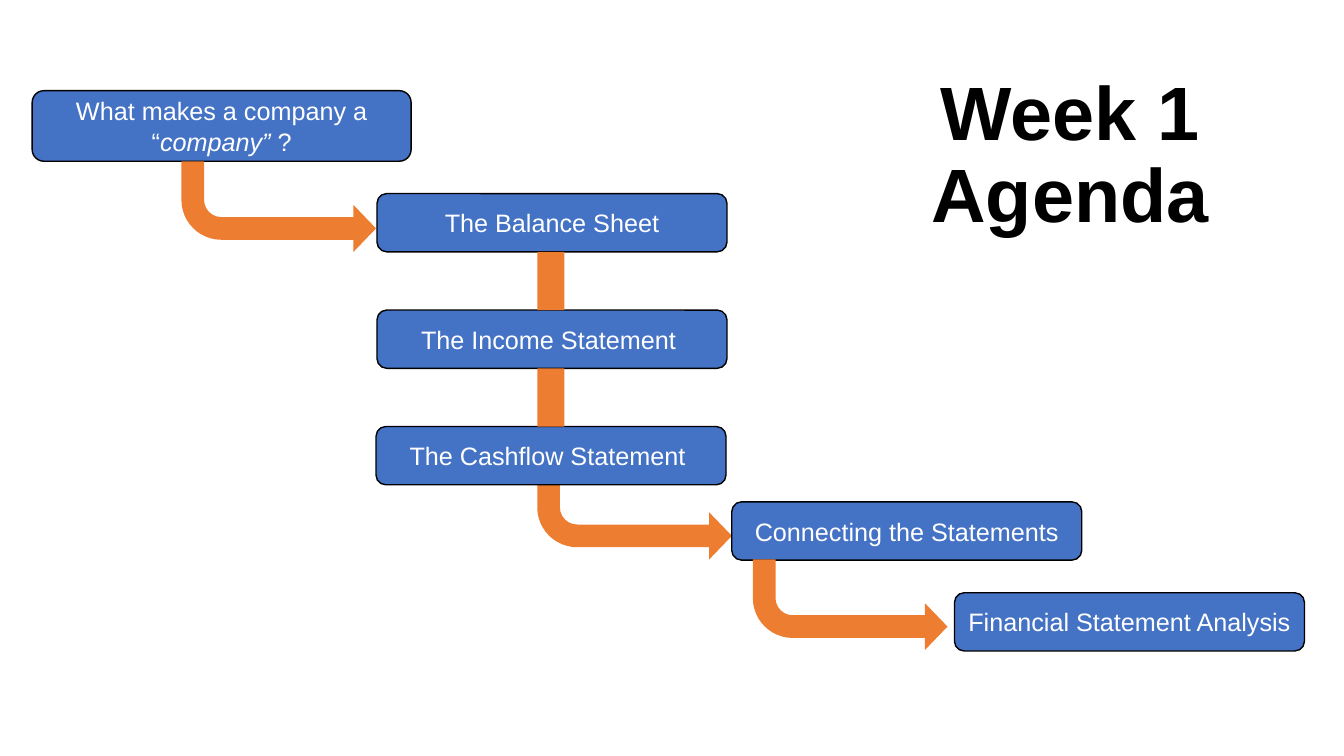
"""Build the Week 1 agenda slide: a staircase of topics joined by arrows."""
from dataclasses import dataclass

from pptx import Presentation
from pptx.dml.color import RGBColor
from pptx.enum.shapes import MSO_SHAPE
from pptx.enum.text import MSO_ANCHOR, PP_ALIGN
from pptx.shapes.autoshape import Shape
from pptx.slide import Slide
from pptx.text.text import Font
from pptx.util import Pt

ROUNDED = MSO_SHAPE.ROUNDED_RECTANGLE
RECTANGLE = MSO_SHAPE.RECTANGLE
BENT_ARROW = MSO_SHAPE.BENT_ARROW
CENTER = PP_ALIGN.CENTER
MIDDLE = MSO_ANCHOR.MIDDLE
BOTTOM = MSO_ANCHOR.BOTTOM


@dataclass(frozen=True)
class Theme:
    """Colours and type sizes of the slide."""
    topic: RGBColor = RGBColor(0x44, 0x72, 0xC4)
    flow: RGBColor = RGBColor(0xED, 0x7D, 0x31)
    ink: RGBColor = RGBColor(0, 0, 0)
    paper: RGBColor = RGBColor(0xFF, 0xFF, 0xFF)
    font: str = "Arial"
    title_size: float = 54
    topic_size: float = 18


@dataclass(frozen=True)
class Topic:
    """An agenda box; every second piece of its wording is italic."""
    wording: tuple[str, ...]
    left: float
    top: float
    width: float = 250
    height: float = 41.6


@dataclass(frozen=True)
class Turn:
    """A bent arrow leading down and right to the next topic."""
    left: float
    top: float
    width: float = 139
    height: float = 64.8


@dataclass(frozen=True)
class Link:
    """A bar between two stacked statements."""
    left: float
    top: float
    width: float = 19.4
    height: float = 41.6


THEME = Theme()
STATEMENTS_LEFT = 269.3
STATEMENTS_TOP = 138.3
LINK_LEFT = 383.8
STEP = 41.6

AGENDA: tuple[Topic | Turn | Link, ...] = (
    Topic(("What makes a company a “", "company” ", "?"), 23, 64.8, 270.7, 50.4),
    Turn(129.6, 115.2),
    Topic(("The Balance Sheet",), STATEMENTS_LEFT, STATEMENTS_TOP),
    Turn(LINK_LEFT, 334.8),
    Topic(("The Income Statement ",), STATEMENTS_LEFT, STATEMENTS_TOP + 2 * STEP),
    Link(LINK_LEFT, STATEMENTS_TOP + STEP),
    Topic(("The Cashflow Statement ",), 268.6, STATEMENTS_TOP + 4 * STEP),
    Link(LINK_LEFT, STATEMENTS_TOP + 3 * STEP),
    Topic(("Connecting the Statements",), 522.7, 358.5),
    Turn(537.8, 399.6),
    Topic(("Financial Statement Analysis",), 681.8, 423.4),
)


def style_font(font: Font, size: float, color: RGBColor) -> None:
    """Apply the theme font with a size and colour."""
    font.name = THEME.font
    font.size = Pt(size)
    font.color.rgb = color


def add_block(slide: Slide, part: Topic | Turn | Link, preset: MSO_SHAPE, fill: RGBColor) -> Shape:
    """Add a flat, filled preset shape without an outline."""
    block = slide.shapes.add_shape(
        preset, Pt(part.left), Pt(part.top), Pt(part.width), Pt(part.height))
    block.shadow.inherit = False
    block.fill.solid()
    block.fill.fore_color.rgb = fill
    block.line.fill.background()
    return block


def add_topic(slide: Slide, topic: Topic) -> None:
    """Add an outlined agenda box with its wording."""
    box = add_block(slide, topic, ROUNDED, THEME.topic)
    box.line.fill.solid()
    box.line.fill.fore_color.rgb = THEME.ink
    box.line.width = Pt(1)
    box.text_frame.word_wrap = True
    box.text_frame.vertical_anchor = MIDDLE
    line = box.text_frame.paragraphs[0]
    line.alignment = CENTER
    for index, piece in enumerate(topic.wording):
        run = line.add_run()
        run.text = piece
        style_font(run.font, THEME.topic_size, THEME.paper)
        run.font.italic = index % 2 == 1


def add_turn(slide: Slide, turn: Turn) -> None:
    """Add a bent arrow, turned over so that it points right."""
    arrow = add_block(slide, turn, BENT_ARROW, THEME.flow)
    for index, ratio in enumerate((0.25, 0.26, 0.25, 0.44)):
        arrow.adjustments[index] = ratio
    arrow.rotation = 180
    arrow.element.spPr.xfrm.set("flipH", "1")


def add_title(slide: Slide) -> None:
    """Add the slide title."""
    title = slide.shapes.add_textbox(Pt(575.3), Pt(102.2), Pt(378), Pt(72))
    frame = title.text_frame
    frame.word_wrap = True
    frame.vertical_anchor = BOTTOM
    frame.text = "Week 1 Agenda"
    heading = frame.paragraphs[0]
    heading.alignment = CENTER
    heading.line_spacing = 0.9
    style_font(heading.runs[0].font, THEME.title_size, THEME.ink)
    heading.runs[0].font.bold = True


def main() -> None:
    """Build and save the slide."""
    deck = Presentation()
    deck.slide_width, deck.slide_height = Pt(960), Pt(540)
    slide = deck.slides.add_slide(deck.slide_layouts[6])
    add_title(slide)
    for part in AGENDA:
        if isinstance(part, Topic):
            add_topic(slide, part)
        elif isinstance(part, Turn):
            add_turn(slide, part)
        else:
            add_block(slide, part, RECTANGLE, THEME.flow)
    deck.save("out.pptx")


if __name__ == "__main__":
    main()
